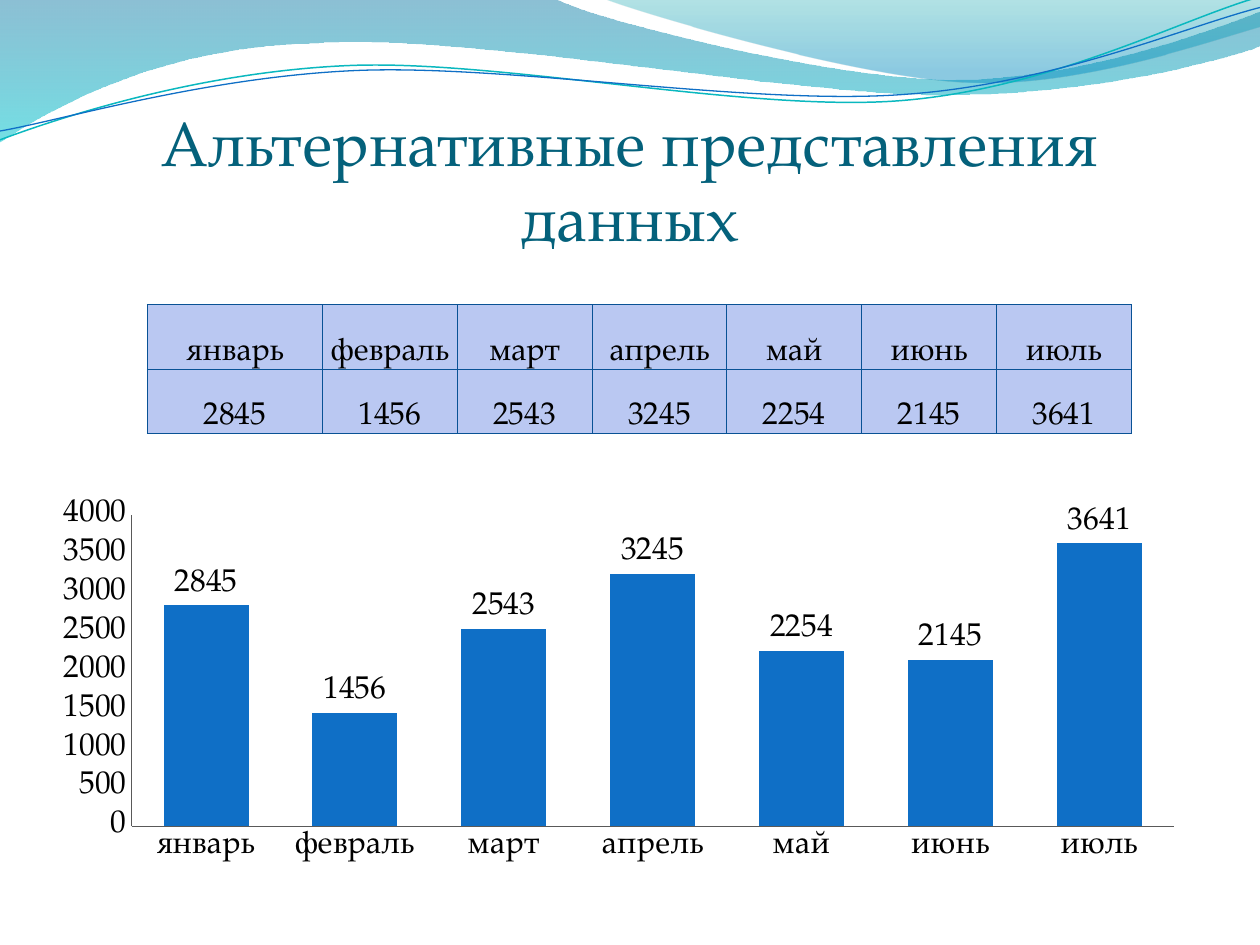
import math
from dataclasses import dataclass
from typing import Optional

from lxml import etree
from pptx import Presentation
from pptx import util as u
from pptx.chart import data as chart_data
from pptx.dml import color
from pptx.enum import chart as ch
from pptx.enum import text
from pptx.oxml import ns, parse_xml

FONT = "TeX Gyre Pagella"
COLORS = {
    "title": "04617B",
    "text": "000000",
    "bar": "0F6FC6",
    "axis": "595959",
    "cell": "BAC8F2",
    "border": "095295",
    "teal_line": "0AB8BF",
    "blue_line": "0F6FC6",
    "wave_top": "0074A1",
    "wave_bottom": "00C6CF",
    "crest_top": "00A1A9",
    "crest_bottom": "008BBF",
}
SALES = {"январь": 2845, "февраль": 1456, "март": 2543, "апрель": 3245,
         "май": 2254, "июнь": 2145, "июль": 3641}


@dataclass
class Stop:
    position: float
    color: str
    opacity: int


@dataclass
class Wave:
    start: tuple
    segments: list
    stops: Optional[list] = None
    line: Optional[str] = None
    width: float = 0.75
    tilt: float = 0
    center: tuple = (0, 0)


WAVES = [
    Wave((0, 0), [
        [(4.4, -0.01)],
        [(4.76, 0.17), (6.64, 0.63), (7.58, 0.63)],
        [(8.53, 0.63), (9.58, 0.26), (10, 0.09)],
        [(10.01, 0.36)],
        [(9.83, 0.44), (8.7, 0.76), (7.46, 0.75)],
        [(6.22, 0.75), (3.82, 0.28), (2.57, 0.34)],
        [(1.29, 0.36), (0.46, 0.83), (-0.01, 1.13)],
        [(0, 0)],
    ], stops=[Stop(0, "wave_top", 45), Stop(1, "wave_bottom", 55)]),
    Wave((4.79, -0.01), [
        [(5.09, 0.11), (6.82, 0.62), (7.69, 0.65)],
        [(8.56, 0.69), (9.61, 0.32), (10, 0.21)],
        [(10, 0)],
        [(4.79, -0.01)],
    ], stops=[Stop(0, "crest_top", 30), Stop(0.8, "crest_bottom", 45)]),
    Wave((0, 1.11), [
        [(0.48, 0.93), (1.58, 0.57), (2.77, 0.52)],
        [(3.95, 0.47), (5.93, 0.89), (7.13, 0.8)],
        [(8.33, 0.71), (9.38, 0.15), (9.98, -0.02)],
    ], line="teal_line", width=0.85, tilt=-2.7, center=(4.99, 0.58)),
    Wave((0, 1.04), [
        [(0.47, 0.96), (1.64, 0.61), (2.83, 0.56)],
        [(4.03, 0.51), (5.97, 0.84), (7.17, 0.75)],
        [(8.36, 0.67), (9.41, 0.21), (10, 0.06)],
    ], line="blue_line", tilt=-2.7, center=(5, 0.59)),
]


def rgb(name: str) -> color.RGBColor:
    return color.RGBColor.from_string(COLORS[name])


def style_font(font, size: float, name: str) -> None:
    font.name = FONT
    font.size = u.Pt(size)
    font.color.rgb = rgb(name)


def level(point: tuple, wave: Wave) -> tuple:
    angle = math.radians(-wave.tilt)
    dx, dy = point[0] - wave.center[0], point[1] - wave.center[1]
    return (u.Inches(wave.center[0] + dx * math.cos(angle) - dy * math.sin(angle)),
            u.Inches(wave.center[1] + dx * math.sin(angle) + dy * math.cos(angle)))


def bend(ribbon, segments: list) -> None:
    steps = iter(list(ribbon._element.iter(ns.qn("a:lnTo"))))
    for segment in segments:
        first, *others = [next(steps) for _ in segment]
        if others:
            first.tag = ns.qn("a:cubicBezTo")
            for other in others:
                first.append(other[0])
                other.getparent().remove(other)


def draw_wave(slide, wave: Wave) -> None:
    builder = slide.shapes.build_freeform(*level(wave.start, wave))
    points = [level(point, wave) for segment in wave.segments for point in segment]
    builder.add_line_segments(points, close=bool(wave.stops))
    ribbon = builder.convert_to_shape()
    bend(ribbon, wave.segments)
    ribbon.rotation = wave.tilt
    ribbon.shadow.inherit = False
    if wave.stops:
        ribbon.line.fill.background()
        ribbon.fill.gradient()
        ribbon.fill.gradient_angle = 270
        for stop, target in zip(wave.stops, ribbon.fill.gradient_stops):
            target.position = stop.position
            target.color.rgb = rgb(stop.color)
        swatches = ribbon.fill._xPr.iter(ns.qn("a:srgbClr"))
        for stop, swatch in zip(wave.stops, swatches):
            etree.SubElement(swatch, ns.qn("a:alpha"), val=str(stop.opacity * 1000))
    else:
        ribbon.fill.background()
        ribbon.line.color.rgb = rgb(wave.line)
        ribbon.line.width = u.Pt(wave.width)


def draw_title(slide) -> None:
    frame = slide.shapes.add_textbox(u.Inches(0.5), u.Inches(0.77),
                                     u.Inches(9), u.Inches(1.25)).text_frame
    frame.word_wrap = True
    frame.vertical_anchor = text.MSO_ANCHOR.BOTTOM
    frame.margin_left = frame.margin_right = frame.margin_bottom = 0
    heading = frame.paragraphs[0]
    heading.text = "Альтернативные представления данных"
    heading.alignment = text.PP_ALIGN.CENTER
    style_font(heading.font, 36, "title")


def border_cell(cell) -> None:
    properties = cell._tc.get_or_add_tcPr()
    for index, side in enumerate("LRTB"):
        properties.insert(index, parse_xml(
            f'<a:ln{side} {ns.nsdecls("a")} w="{u.Pt(0.75)}"><a:solidFill>'
            f'<a:srgbClr val="{COLORS["border"]}"/></a:solidFill></a:ln{side}>'))


def draw_table(slide) -> None:
    rows = [list(SALES), list(SALES.values())]
    table = slide.shapes.add_table(2, len(SALES), u.Inches(1.17), u.Inches(2.42),
                                   u.Inches(7.81), u.Inches(1.02)).table
    table.first_row = table.horz_banding = False
    for index, column in enumerate(table.columns):
        column.width = u.Inches(1.07 if index else 1.39)
    for r, values in enumerate(rows):
        for c, value in enumerate(values):
            cell = table.cell(r, c)
            cell.fill.solid()
            cell.fill.fore_color.rgb = rgb("cell")
            cell.vertical_anchor = text.MSO_ANCHOR.BOTTOM
            cell.margin_left = cell.margin_right = cell.margin_top = u.Inches(0.01)
            cell.margin_bottom = 0
            entry = cell.text_frame.paragraphs[0]
            entry.text = str(value)
            entry.alignment = text.PP_ALIGN.CENTER
            style_font(entry.font, 18, "text")
            border_cell(cell)


def draw_chart(slide) -> None:
    sales = chart_data.CategoryChartData()
    sales.categories = list(SALES)
    sales.add_series("Series 1", list(SALES.values()))
    chart = slide.shapes.add_chart(ch.XL_CHART_TYPE.COLUMN_CLUSTERED, u.Inches(0.31),
                                   u.Inches(3.91), u.Inches(9.19), u.Inches(3.01), sales).chart
    chart.has_legend = chart.has_title = False
    style_font(chart.font, 18, "text")
    for axis in (chart.category_axis, chart.value_axis):
        axis.has_major_gridlines = False
        axis.major_tick_mark = axis.minor_tick_mark = ch.XL_TICK_MARK.NONE
        axis.format.line.color.rgb = rgb("axis")
        axis.format.line.width = u.Pt(0.75)
    chart.value_axis.minimum_scale = 0
    chart.value_axis.maximum_scale = 4000
    chart.value_axis.major_unit = 500
    plot = chart.plots[0]
    plot.gap_width = 75
    plot.vary_by_categories = False
    plot.has_data_labels = True
    plot.data_labels.show_value = True
    plot.data_labels.position = ch.XL_LABEL_POSITION.OUTSIDE_END
    bars = plot.series[0].format.fill
    bars.solid()
    bars.fore_color.rgb = rgb("bar")
    area = chart._chartSpace.find(".//" + ns.qn("c:plotArea"))
    for old in area.findall(ns.qn("c:layout")):
        area.remove(old)
    sizes = "".join(f'<c:{tag} val="{value}"/>'
                    for tag, value in zip("xywh", (0.08, 0.06, 0.9, 0.82)))
    area.insert(0, parse_xml(
        f'<c:layout {ns.nsdecls("c")}><c:manualLayout><c:layoutTarget val="inner"/>'
        f'<c:xMode val="edge"/><c:yMode val="edge"/>{sizes}</c:manualLayout></c:layout>'))


def main() -> None:
    deck = Presentation()
    deck.slide_width, deck.slide_height = u.Inches(10), u.Inches(7.5)
    slide = deck.slides.add_slide(deck.slide_layouts[6])
    for wave in WAVES:
        draw_wave(slide, wave)
    draw_title(slide)
    draw_chart(slide)
    draw_table(slide)
    deck.save("out.pptx")


if __name__ == "__main__":
    main()
